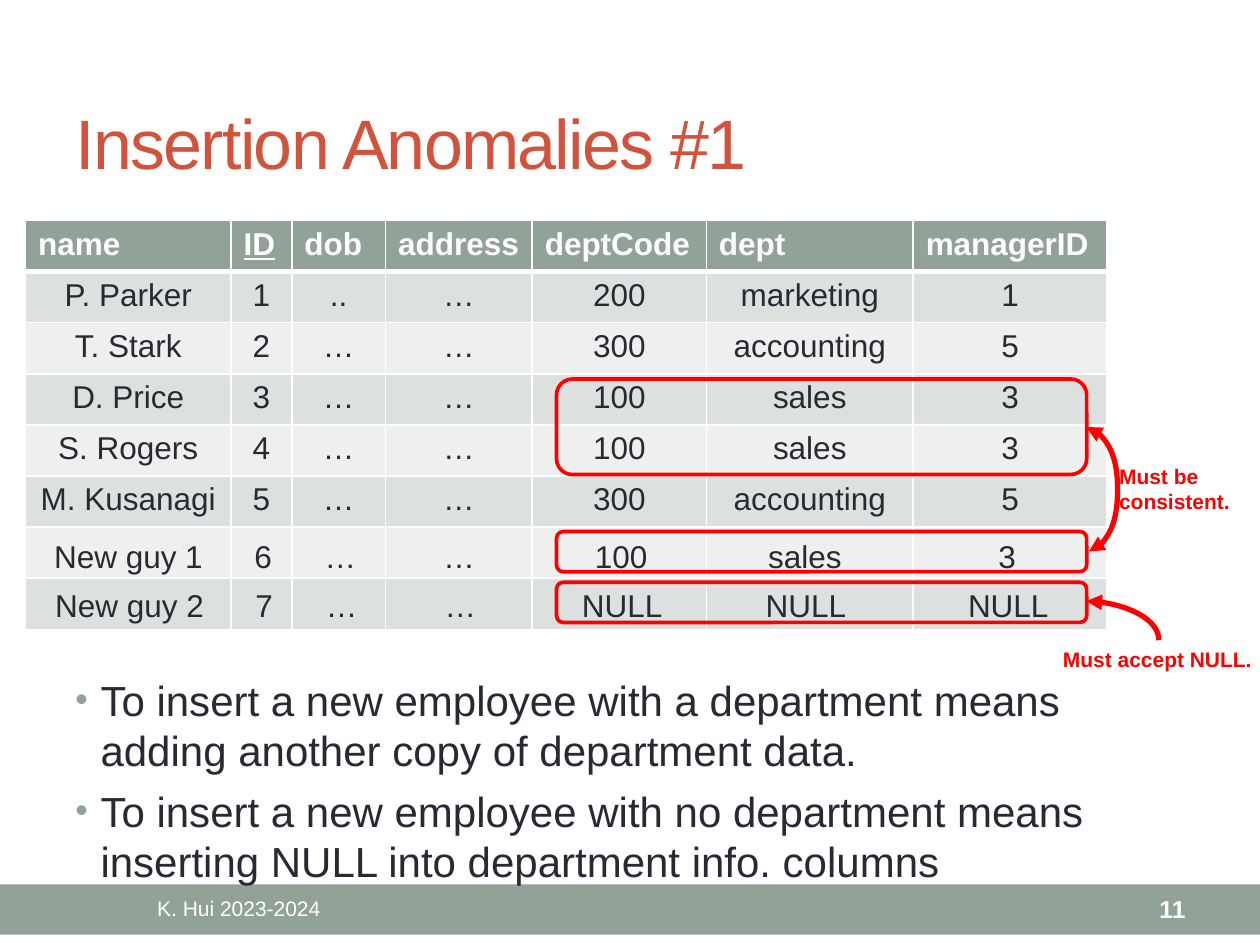
"""Builds the slide on insertion anomalies in an employee table."""
import dataclasses

import pptx
import pptx.dml.color
import pptx.enum.shapes
import pptx.enum.text
import pptx.oxml
import pptx.oxml.ns
import pptx.util

Pt = pptx.util.Pt
ALIGN = pptx.enum.text.PP_ALIGN
ANCHOR = pptx.enum.text.MSO_ANCHOR
SHAPE = pptx.enum.shapes.MSO_SHAPE


@dataclasses.dataclass(frozen=True)
class Theme:
    font: str = "Arial"
    title: str = "D2533C"
    text: str = "292934"
    accent: str = "93A299"
    white: str = "FFFFFF"
    alert: str = "FF0000"
    bands: tuple = ("DCE0DE", "EEF0EF")
    title_size: int = 40
    body_size: int = 24
    table_size: int = 18
    page_size: int = 14
    small_size: int = 12


class SlideBuilder:
    def __init__(self, slide, theme):
        self.slide = slide
        self.theme = theme

    def color(self, value):
        return pptx.dml.color.RGBColor.from_string(value)

    def element(self, parent, tag, **attributes):
        child = pptx.oxml.parse_xml(f"<a:{tag} {pptx.oxml.ns.nsdecls('a')}/>")
        for name, value in attributes.items():
            child.set(name, str(value))
        parent.append(child)
        return child

    def style(self, paragraph, size, color, bold=False, align=ALIGN.LEFT):
        paragraph.alignment = align
        font = paragraph.font
        font.name, font.size, font.bold = self.theme.font, Pt(size), bold
        font.color.rgb = self.color(color)

    def title(self, text, left, top, width, height):
        shape = self.slide.shapes.title
        shape.left, shape.top, shape.width, shape.height = map(Pt, (left, top, width, height))
        frame = shape.text_frame
        frame.text = text
        frame.auto_size = pptx.enum.text.MSO_AUTO_SIZE.NONE
        frame.vertical_anchor = ANCHOR.MIDDLE
        self.style(frame.paragraphs[0], self.theme.title_size, self.theme.title)
        frame.paragraphs[0].runs[0].font._element.set("spc", "-100")

    def text(self, text, left, top, width, height, size, color,
             bold=False, align=ALIGN.LEFT, anchor=ANCHOR.TOP, wrap=True):
        box = self.slide.shapes.add_textbox(*map(Pt, (left, top, width, height)))
        frame = box.text_frame
        frame.text = text
        frame.word_wrap = wrap
        frame.vertical_anchor = anchor
        self.style(frame.paragraphs[0], size, color, bold, align)
        return frame.paragraphs[0]

    def bullet(self, text, left, top, width, height):
        paragraph = self.text(text, left, top, width, height,
                              self.theme.body_size, self.theme.text)
        paragraph.space_before = Pt(0.2 * self.theme.body_size)
        properties = paragraph._p.get_or_add_pPr()
        properties.set("marL", str(Pt(14.4)))
        properties.set("indent", str(-Pt(14.4)))
        tail = properties.find(pptx.oxml.ns.qn("a:defRPr"))
        bullet_color = self.element(properties, "buClr")
        self.element(bullet_color, "srgbClr", val=self.theme.accent)
        self.element(properties, "buSzPct", val=85000)
        self.element(properties, "buFont", typeface=self.theme.font)
        self.element(properties, "buChar", char="•")
        properties.append(tail)

    def tabbed_row(self, values, left, top, width, height, stops):
        paragraph = self.text("\t".join(values), left, top, width, height,
                              self.theme.table_size, self.theme.text)
        properties = paragraph._p.get_or_add_pPr()
        tail = properties.find(pptx.oxml.ns.qn("a:defRPr"))
        tabs = self.element(properties, "tabLst")
        for stop in stops:
            self.element(tabs, "tab", pos=Pt(stop), algn="ctr")
        properties.append(tail)

    def band(self, left, top, width, height):
        shape = self.slide.shapes.add_shape(SHAPE.RECTANGLE, *map(Pt, (left, top, width, height)))
        shape.shadow.inherit = False
        shape.fill.solid()
        shape.fill.fore_color.rgb = self.color(self.theme.accent)
        shape.line.fill.background()

    def outline(self, left, top, width, height):
        shape = self.slide.shapes.add_shape(
            SHAPE.ROUNDED_RECTANGLE, *map(Pt, (left, top, width, height)))
        shape.shadow.inherit = False
        shape.fill.background()
        shape.line.color.rgb = self.color(self.theme.alert)
        shape.line.width = Pt(2.08)

    def curve(self, start, end, arrows, bulge=None):
        connector = self.slide.shapes.add_connector(
            pptx.enum.shapes.MSO_CONNECTOR.CURVE, *map(Pt, start + end))
        connector.line.color.rgb = self.color(self.theme.alert)
        connector.line.width = Pt(3)
        properties = connector._element.spPr
        geometry = properties.find(pptx.oxml.ns.qn("a:prstGeom"))
        if bulge is None:
            geometry.set("prst", "curvedConnector2")
        else:
            ratio = round(bulge / (end[0] - start[0]) * 100000)
            self.element(geometry.get_or_add_avLst(), "gd", name="adj1", fmla=f"val {ratio}")
        for arrow in arrows:
            self.element(connector.line._get_or_add_ln(), arrow, type="triangle")
        self.element(properties, "effectLst")

    def bottom_border(self, cell, width):
        properties = cell._tc.get_or_add_tcPr()
        border = self.element(properties, "lnB", w=Pt(width))
        self.element(self.element(border, "solidFill"), "srgbClr", val=self.theme.white)
        properties.insert(0, border)

    def table(self, rows, row_count, left, top, widths, row_height, key):
        table = self.slide.shapes.add_table(
            row_count, len(widths), *map(Pt, (left, top, sum(widths), row_height * row_count))).table
        for column, width in zip(table.columns, widths):
            column.width = Pt(width)
        for row_index, row in enumerate(table.rows):
            header = row_index == 0
            fill = self.theme.accent if header else self.theme.bands[(row_index - 1) % 2]
            color = self.theme.white if header else self.theme.text
            align = ALIGN.LEFT if header else ALIGN.CENTER
            values = rows[row_index] if row_index < len(rows) else [""] * len(widths)
            for cell, value in zip(row.cells, values):
                cell.text = value
                cell.fill.solid()
                cell.fill.fore_color.rgb = self.color(fill)
                paragraph = cell.text_frame.paragraphs[0]
                self.style(paragraph, self.theme.table_size, color, header, align)
                if header:
                    self.bottom_border(cell, 3)
                if value == key:
                    paragraph.font.underline = True


EMPLOYEES = [
    ("name", "ID", "dob", "address", "deptCode", "dept", "managerID"),
    ("P. Parker", "1", "..", "…", "200", "marketing", "1"),
    ("T. Stark", "2", "…", "…", "300", "accounting", "5"),
    ("D. Price", "3", "…", "…", "100", "sales", "3"),
    ("S. Rogers", "4", "…", "…", "100", "sales", "3"),
    ("M. Kusanagi", "5", "…", "…", "300", "accounting", "5"),
]
NEW_EMPLOYEES = [
    (("New guy 1", "6", "…", "…", "100", "sales", "3"), (23.8, 303.1, 568.1, 28.8)),
    (("New guy 2", "7", "…", "…", "NULL", "NULL", "NULL"), (24.5, 331.2, 587.5, 28.8)),
]
LESSONS = [
    "To insert a new employee with a department means adding another copy of department data.",
    "To insert a new employee with no department means inserting NULL into department info. columns",
]

theme = Theme()
presentation = pptx.Presentation()
presentation.slide_width, presentation.slide_height = Pt(720), Pt(540)
builder = SlideBuilder(presentation.slides.add_slide(presentation.slide_layouts[5]), theme)

builder.band(0, 505.4, 720, 28.8)
builder.title("Insertion Anomalies #1", 36, 42, 648, 77.8)
builder.table(EMPLOYEES, len(EMPLOYEES) + len(NEW_EMPLOYEES), 14.6, 126,
              (117.4, 34.8, 53.6, 83.8, 99.5, 118.2, 110.8), 29.2, "ID")
builder.text("K. Hui 2023-2024", 36, 506, 201, 26, theme.small_size, theme.white,
             align=ALIGN.CENTER, anchor=ANCHOR.MIDDLE)
builder.text("11", 600.5, 506, 84, 26, theme.page_size, theme.white,
             bold=True, align=ALIGN.RIGHT, anchor=ANCHOR.MIDDLE)
for index, lesson in enumerate(LESSONS):
    builder.bullet(lesson, 36, 381.6 + 63.6 * index, 648, 71)

for top, height in ((216.6, 54.6), (303.7, 23), (332.7, 23)):
    builder.outline(318, top, 303, height)
builder.curve((620.8, 343.5), (662.2, 365.8), ("headEnd",))
builder.curve((620.8, 244), (622.2, 315.2), ("headEnd", "tailEnd"), bulge=18)
builder.text("Must accept NULL.", 600.3, 365.8, 123.8, 21.8, theme.small_size, theme.alert,
             bold=True, wrap=False)
builder.text("Must be consistent.", 632.4, 261.4, 83.5, 36, theme.small_size, theme.alert, bold=True)
for values, frame in NEW_EMPLOYEES:
    builder.tabbed_row(values, *frame, (119.4, 163.6, 231.5, 324, 429, 544.6))

presentation.save("out.pptx")
